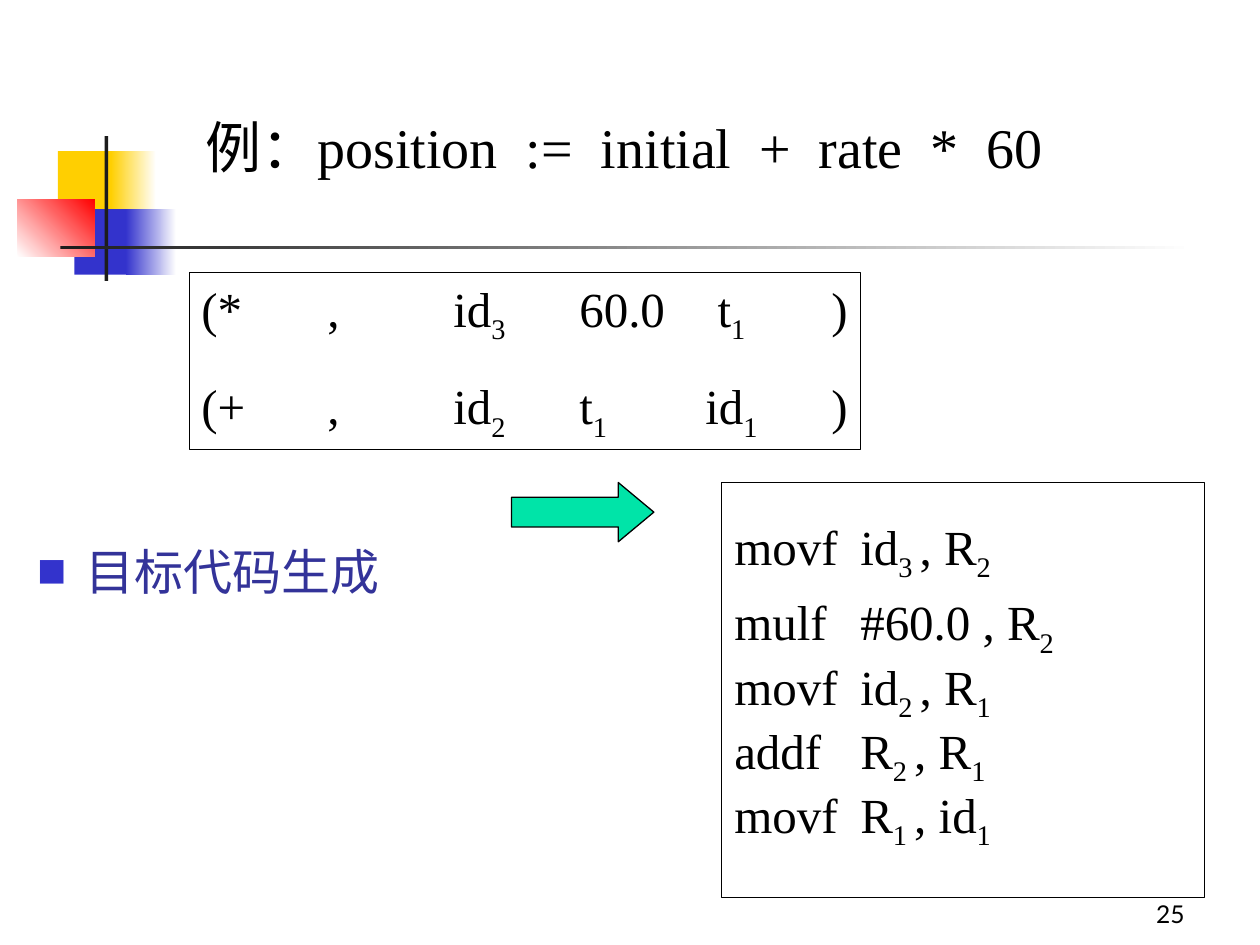
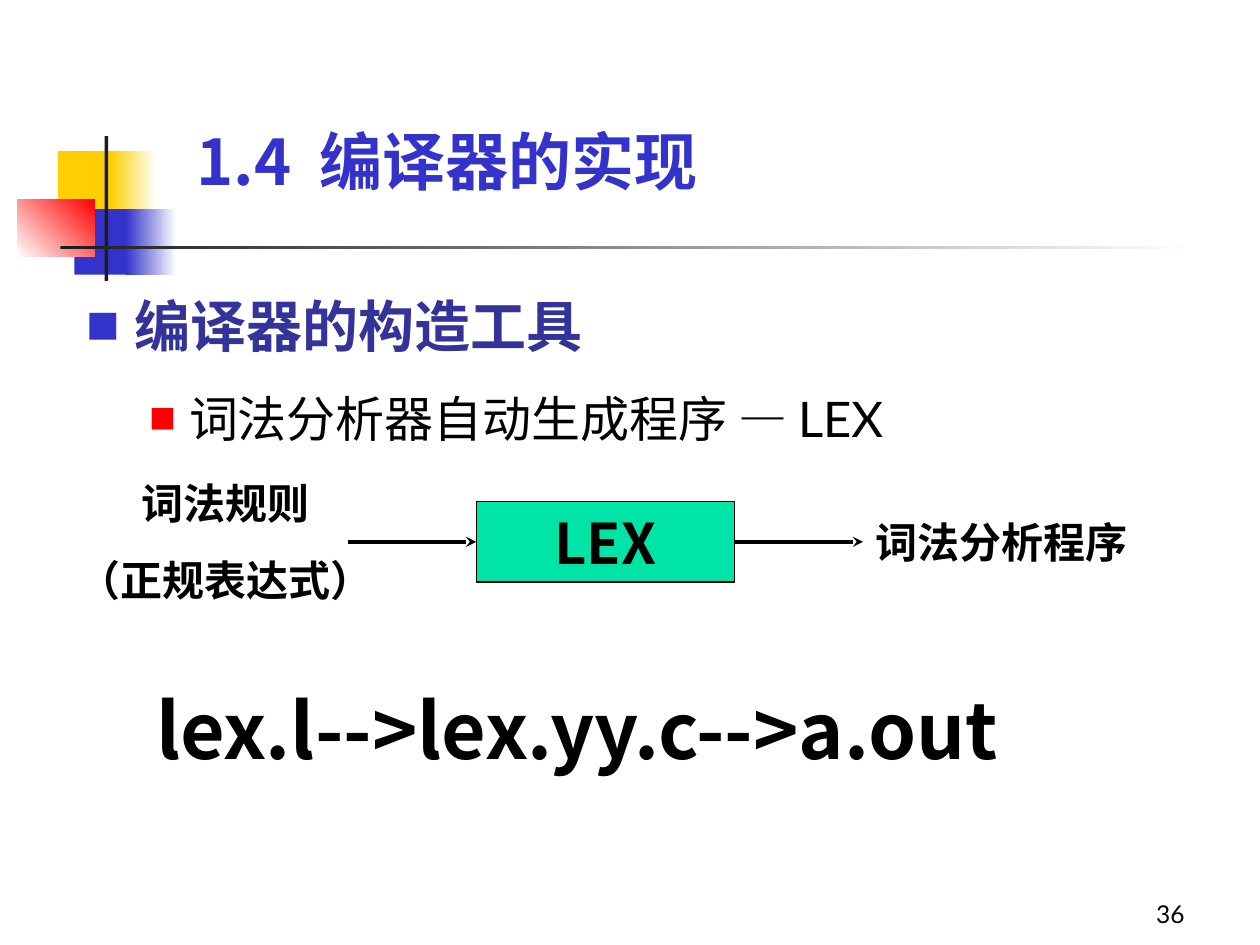
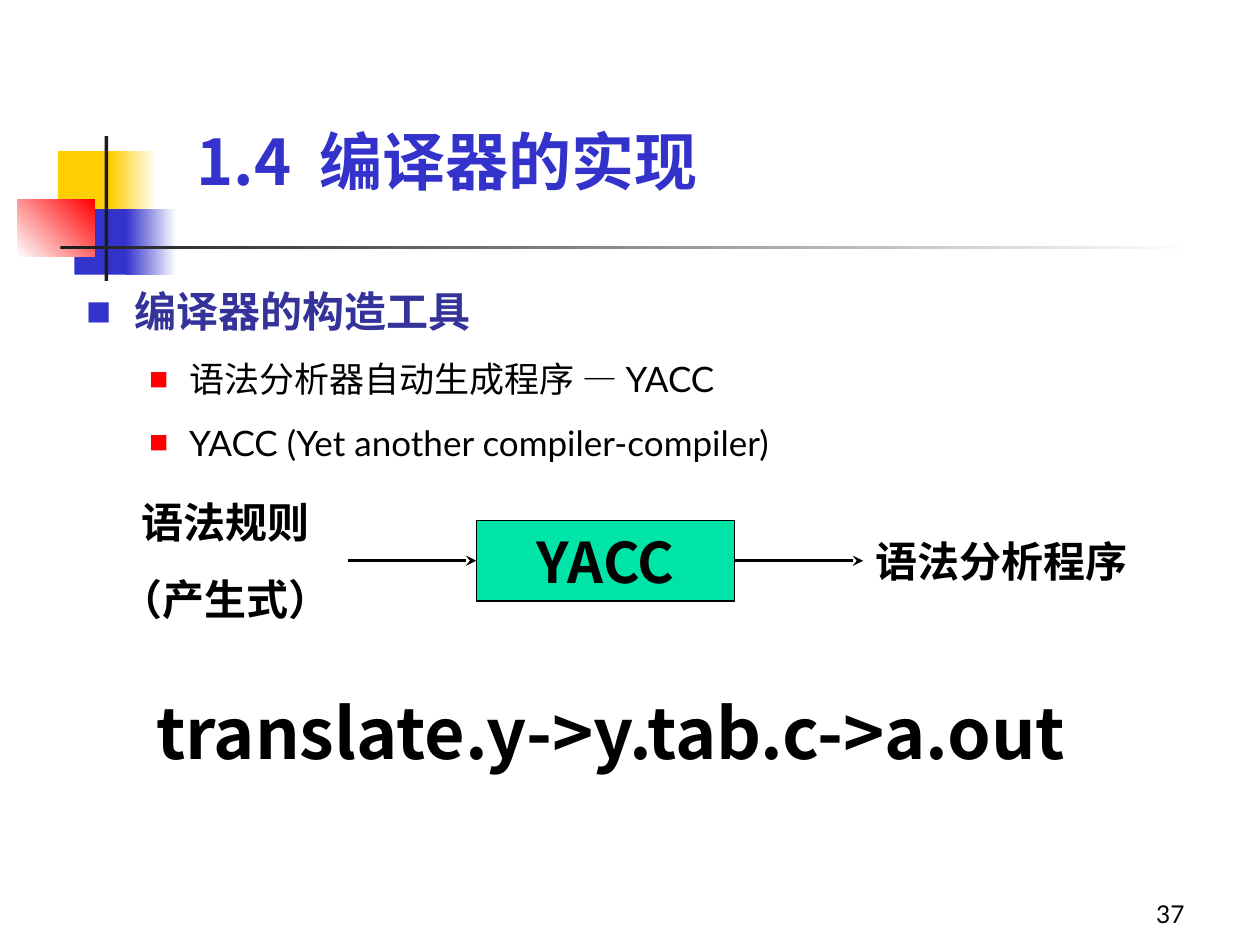
from dataclasses import dataclass
from typing import NamedTuple, Optional

from lxml import etree
from pptx import Presentation
from pptx.dml.color import RGBColor
from pptx.enum import dml, shapes, text
from pptx.oxml import ns
from pptx.util import Inches, Pt

BLACK, WHITE, INK = "000000", "FFFFFF", "1C1C1C"
BLUE, NAVY, RED, YELLOW, GREEN = "3333CC", "333399", "FF0000", "FFCF01", "00E4A8"
LATO, SANS, TIMES = "Lato", "Noto Sans CJK SC", "Times New Roman"
LEFT, CENTER, RIGHT = text.PP_ALIGN.LEFT, text.PP_ALIGN.CENTER, text.PP_ALIGN.RIGHT
TOP, BOTTOM = text.MSO_ANCHOR.TOP, text.MSO_ANCHOR.BOTTOM
FIXED, GROW = text.MSO_AUTO_SIZE.NONE, text.MSO_AUTO_SIZE.SHAPE_TO_FIT_TEXT
RECT, ARROW = shapes.MSO_SHAPE.RECTANGLE, shapes.MSO_SHAPE.RIGHT_ARROW


class Box(NamedTuple):
    left: float
    top: float
    width: float
    height: float


class Bullet(NamedTuple):
    level: int
    indent: float
    hang: float
    color: str
    percent: int


@dataclass
class Para:
    """Text runs split by "|" alternate between normal and subscript."""
    words: str
    size: float
    font: str = SANS
    color: str = BLACK
    bold: bool = False
    align: text.PP_ALIGN = LEFT
    before: float = 0
    spacing: float = 1.0
    bullet: Optional[Bullet] = None


@dataclass
class Band:
    box: Box
    start: str
    end: Optional[str] = None
    angle: float = 0


@dataclass
class ToolSlide:
    number: int
    items: list[Para]
    tool: str
    inputs: list[str]
    output: str
    flow_y: float
    files: Para
    files_box: Box


TOP_BULLET = Bullet(0, 0.38, 0.38, BLUE, 60)
SUB_BULLET = Bullet(1, 0.81, 0.31, RED, 55)

BANDS = [
    Band(Box(0.46, 1.2, 0.48, 0.52), YELLOW),
    Band(Box(0.88, 1.2, 0.36, 0.52), YELLOW, WHITE),
    Band(Box(0.59, 1.66, 0.46, 0.52), BLUE),
    Band(Box(1, 1.66, 0.4, 0.52), BLUE, WHITE),
    Band(Box(0.14, 1.58, 0.61, 0.46), WHITE, RED, 45),
    Band(Box(0.83, 1.08, 0.03, 1.15), INK),
    Band(Box(0.48, 1.95, 9, 0.03), INK, WHITE),
]


def rgb(value: str) -> RGBColor:
    return RGBColor.from_string(value)


def inches(box: Box) -> list:
    return [Inches(v) for v in box]


def child(parent, tag: str, **attrs):
    return etree.SubElement(parent, ns.qn(tag), {k: str(v) for k, v in attrs.items()})


# Text
def add_run(p, words: str, para: Para, font: str, sub: bool = False) -> None:
    r = p.add_run()
    r.text = words
    r.font.size, r.font.bold = Pt(para.size), para.bold
    r.font.color.rgb = rgb(para.color)
    r.font.name = font
    rPr = r._r.get_or_add_rPr()
    child(rPr, "a:ea", typeface=SANS)
    if sub:
        rPr.set("baseline", "-25000")


def add_bullet(p, bullet: Bullet) -> None:
    p.level = bullet.level
    pPr = p._p.get_or_add_pPr()
    pPr.set("marL", str(Inches(bullet.indent)))
    pPr.set("indent", str(-Inches(bullet.hang)))
    child(child(pPr, "a:buClr"), "a:srgbClr", val=bullet.color)
    child(pPr, "a:buSzPct", val=bullet.percent * 1000)
    child(pPr, "a:buFont", typeface=SANS)
    child(pPr, "a:buChar", char="■")


def add_tabs(p) -> None:
    tabs = child(p._p.get_or_add_pPr(), "a:tabLst")
    for stop in range(1, 8):
        child(tabs, "a:tab", pos=Inches(stop), algn="l")


def write(sp, paras: list[Para], anchor=TOP, fit=FIXED) -> None:
    tf = sp.text_frame
    tf.word_wrap, tf.auto_size, tf.vertical_anchor = True, fit, anchor
    for i, para in enumerate(paras):
        p = tf.add_paragraph() if i else tf.paragraphs[0]
        p.alignment, p.line_spacing = para.align, para.spacing
        p.space_before = Pt(para.before)
        if para.bullet:
            add_bullet(p, para.bullet)
        if "\t" in para.words:
            add_tabs(p)
        for j, words in enumerate(para.words.split("|")):
            before, dash, after = words.partition("— ")
            for piece, font in ((before, para.font), (dash, TIMES), (after, para.font)):
                if piece:
                    add_run(p, piece, para, font, sub=j % 2 == 1)


def place(sp, box: Box) -> None:
    sp.left, sp.top, sp.width, sp.height = inches(box)


def add_text(slide, box: Box, paras: list[Para], anchor=BOTTOM, fit=GROW) -> None:
    write(slide.shapes.add_textbox(*inches(box)), paras, anchor, fit)


# Shapes
def add_block(slide, box: Box, fill: Optional[str] = None,
              line: Optional[float] = None, kind=RECT):
    sp = slide.shapes.add_shape(kind, *inches(box))
    sp.shadow.inherit = False
    if fill:
        sp.fill.solid()
        sp.fill.fore_color.rgb = rgb(fill)
    else:
        sp.fill.background()
    if line:
        sp.line.color.rgb, sp.line.width = rgb(BLACK), Pt(line)
    else:
        sp.line.fill.background()
    return sp


def add_arrow(slide, x: float, y: float, length: float) -> None:
    line = slide.shapes.add_connector(
        shapes.MSO_CONNECTOR.STRAIGHT,
        Inches(x), Inches(y), Inches(x + length), Inches(y))
    line.line.color.rgb, line.line.width = rgb(BLACK), Pt(2)
    line.line.dash_style = dml.MSO_LINE.SOLID
    child(line.line._get_or_add_ln(), "a:tailEnd", type="stealth")
    child(line._element.spPr, "a:effectLst")


# Shared parts
def move_bands_to_master(prs, slide) -> None:
    tree = prs.slide_master.shapes.element
    for i, band in enumerate(BANDS):
        sp = add_block(slide, band.box, band.start)
        if band.end:
            sp.fill.gradient()
            sp.fill.gradient_angle = band.angle
            for stop, color in zip(sp.fill.gradient_stops, (band.start, band.end)):
                stop.color.rgb = rgb(color)
        sp.element.nvSpPr.cNvPr.set("id", str(100 + i))
        tree.insert(2 + i, sp.element)


def new_slide(prs, number: int, title: Para, title_box: Box, title_anchor,
              items: list[Para], body_box: Box):
    slide = prs.slides.add_slide(prs.slide_layouts[1])
    place(slide.shapes.title, title_box)
    write(slide.shapes.title, [title], title_anchor)
    body = slide.placeholders[1]
    place(body, body_box)
    write(body, items)
    add_text(slide, Box(7.42, 6.92, 2.08, 0.5),
             [Para(str(number), 14, LATO, align=RIGHT)], fit=FIXED)
    return slide


# Code generation example
def code_slide(prs):
    title = Para("例：position  :=  initial  +  rate  *  60", 32, TIMES, before=20)
    item = Para("目标代码生成", 28, LATO, NAVY, before=7, spacing=1.4, bullet=TOP_BULLET)
    slide = new_slide(prs, 25, title, Box(1.53, 0.84, 6.93, 1.17), TOP,
                      [item], Box(0.2, 4.06, 3.15, 0.94))

    quads = ["(*\t,\tid|3\t|60.0\t t|1\t|)", "(+\t,\tid|2\t|t|1\t|id|1\t|)"]
    sp = add_block(slide, Box(1.5, 2.16, 5.33, 1.41), line=0.5)
    write(sp, [Para(q, 28, TIMES, before=17.5) for q in quads])

    code = ["movf\tid|3 |, R|2", "mulf\t#60.0 , R|2", "movf\tid|2 |, R|1",
            "addf\tR|2 |, R|1", "movf\tR|1 |, id|1"]
    sp = add_block(slide, Box(5.73, 3.83, 3.83, 3.29), line=0.5)
    lines = [Para(c, 28, TIMES, before=17.5, spacing=0.5) for c in code]
    lines[0].before, lines[0].spacing = 0, 1.0
    write(sp, lines)
    sp.text_frame.margin_top = Inches(0.27)

    arrow = add_block(slide, Box(4.06, 3.83, 1.13, 0.47), GREEN, 0.75, ARROW)
    arrow.adjustments[1] = 0.6
    return slide


# Compiler tools
def tool_slide(prs, spec_: ToolSlide) -> None:
    title = Para("1.4  编译器的实现", 36, color=BLUE, bold=True)
    slide = new_slide(prs, spec_.number, title, Box(1.46, 0.99, 7.46, 0.63), BOTTOM,
                      spec_.items, Box(0.59, 2.1, 8.9, 1.73))

    def label(words: str, size: float = 24, before: float = 15) -> Para:
        return Para(words, size, bold=True, align=CENTER, before=before)

    y = spec_.flow_y
    sp = add_block(slide, Box(3.78, y - 0.32, 2.05, 0.64), GREEN, 0.75)
    write(sp, [label(spec_.tool, 32, 20)], BOTTOM, GROW)
    add_text(slide, Box(0.43, y - 0.56, 2.72, 1.11), [label(w) for w in spec_.inputs])
    add_text(slide, Box(6.69, y - 0.25, 2.52, 0.5), [label(spec_.output)])
    for x in (2.76, 5.83):
        add_arrow(slide, x, y, 1.02)
    add_text(slide, spec_.files_box, [spec_.files])


def outline(size: float, sub_size: float, subs: list[str]) -> list[Para]:
    head = Para("编译器的构造工具", size, LATO, NAVY, True,
                before=size / 4, spacing=1.3, bullet=TOP_BULLET)
    return [head] + [Para(s, sub_size, LATO, before=sub_size / 4, spacing=1.3,
                          bullet=SUB_BULLET) for s in subs]


TOOLS = [
    ToolSlide(36, outline(32, 28, ["词法分析器自动生成程序 — LEX"]),
              "LEX", ["词法规则", "（正规表达式）"], "词法分析程序", 4.3,
              Para("lex.l-->lex.yy.c-->a.out", 44, bold=True, before=27.5),
              Box(1.14, 5.36, 8.03, 0.84)),
    ToolSlide(37, outline(24, 20, ["语法分析器自动生成程序 — YACC",
                                   "YACC (Yet another compiler-compiler)"]),
              "YACC", ["语法规则", "（产生式）"], "语法分析程序", 4.45,
              Para("translate.y->y.tab.c->a.out", 40, bold=True, before=25),
              Box(1.14, 5.42, 8.03, 0.77)),
]


def main() -> None:
    prs = Presentation()
    prs.slide_width, prs.slide_height = Inches(10), Inches(7.5)
    first = code_slide(prs)
    move_bands_to_master(prs, first)
    for tool in TOOLS:
        tool_slide(prs, tool)
    prs.save("out.pptx")


if __name__ == "__main__":
    main()
